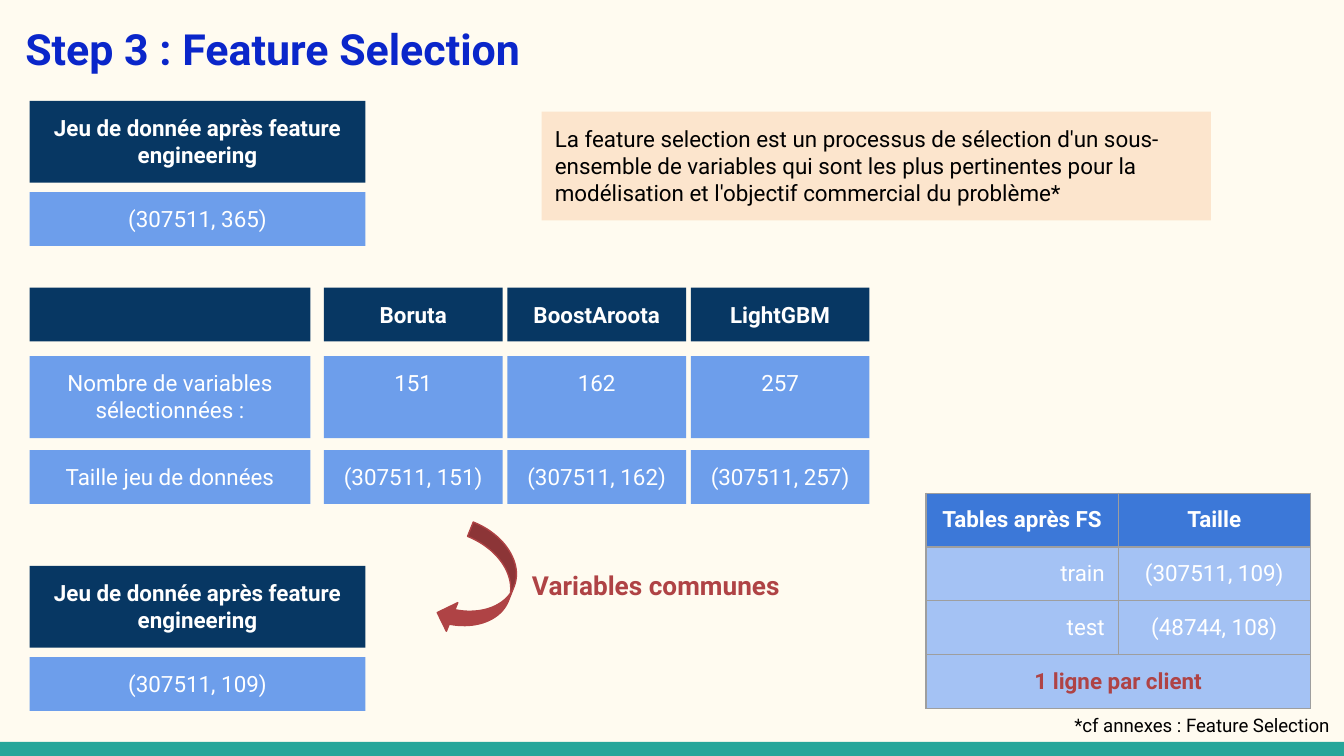
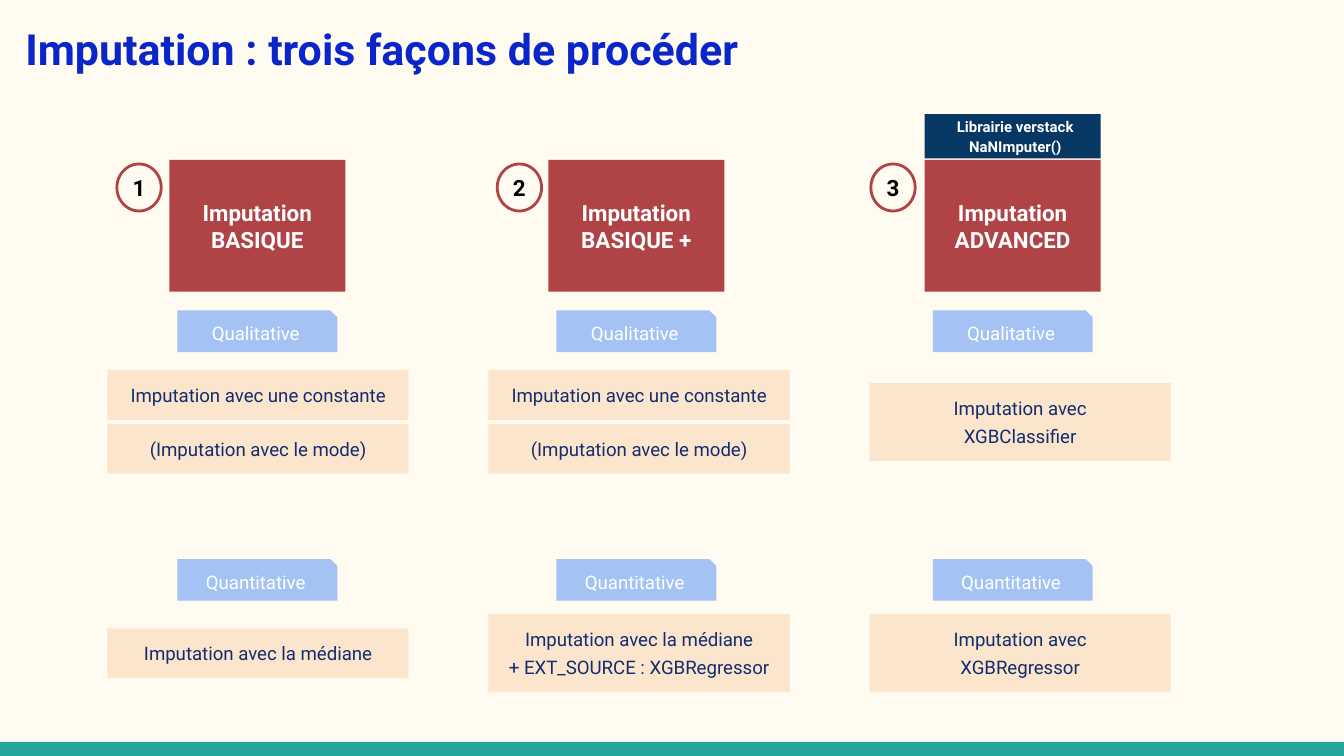
from dataclasses import dataclass

from lxml import etree
from pptx import Presentation
from pptx.dml.color import RGBColor
from pptx.enum.shapes import MSO_SHAPE
from pptx.enum.text import MSO_ANCHOR, PP_ALIGN
from pptx.oxml.ns import qn
from pptx.util import Inches, Pt

RECTANGLE = MSO_SHAPE.RECTANGLE
SNIPPED = MSO_SHAPE.SNIP_1_RECTANGLE
ELLIPSE = MSO_SHAPE.OVAL
CURVED_ARROW = MSO_SHAPE.CURVED_LEFT_ARROW
TOP, MIDDLE = MSO_ANCHOR.TOP, MSO_ANCHOR.MIDDLE
LEFT, CENTER, RIGHT = PP_ALIGN.LEFT, PP_ALIGN.CENTER, PP_ALIGN.RIGHT


@dataclass(frozen=True)
class Theme:
    """Colours, font and type sizes of the deck."""

    background: str = "FFFBF0"
    band: str = "26A69A"
    title: str = "0A26CA"
    navy: str = "073763"
    blue: str = "6D9EEB"
    table_header: str = "3C78D8"
    pale_blue: str = "A4C2F4"
    peach: str = "FCE5CD"
    red: str = "AF4345"
    ink: str = "132D6E"
    border: str = "9E9E9E"
    black: str = "000000"
    white: str = "FFFFFF"
    font: str = "Roboto"
    title_size: float = 23
    callout_size: float = 14
    body_size: float = 12
    small_size: float = 10
    tiny_size: float = 8


THEME = Theme()


def write_text(frame, text, *, size=THEME.body_size, color=THEME.white, bold=False,
               align=CENTER, space_before=0, line_spacing=None):
    """Write each line of the text as one formatted paragraph."""
    for index, line in enumerate(text.split("\n")):
        paragraph = frame.add_paragraph() if index else frame.paragraphs[0]
        paragraph.alignment = align
        if index and space_before:
            paragraph.space_before = Pt(space_before)
        if line_spacing:
            paragraph.line_spacing = line_spacing
        run = paragraph.add_run()
        run.text = line
        run.font.name = THEME.font
        run.font.size = Pt(size)
        run.font.bold = bold
        run.font.color.rgb = RGBColor.from_string(color)


def set_margins(target, margins):
    """Set the left, top, right and bottom insets of a frame or cell."""
    (target.margin_left, target.margin_top,
     target.margin_right, target.margin_bottom) = map(Inches, margins)


def set_fill(target, color):
    """Give a shape, cell or background a solid fill."""
    target.fill.solid()
    target.fill.fore_color.rgb = RGBColor.from_string(color)


def set_borders(cell, color, width):
    """Draw the four borders of a table cell."""
    properties = cell._tc.get_or_add_tcPr()
    for side in ("a:lnL", "a:lnR", "a:lnT", "a:lnB"):
        line = etree.SubElement(properties, qn(side), w=str(Pt(width)))
        solid = etree.SubElement(line, qn("a:solidFill"))
        etree.SubElement(solid, qn("a:srgbClr"), val=color)


class Deck:
    """Holds the presentation, its style and the current slide."""

    margins = (0.1,) * 4

    def __init__(self, theme):
        """Start an empty presentation with the shared background."""
        self.theme = theme
        self.presentation = Presentation()
        self.presentation.slide_width = Inches(10)
        self.presentation.slide_height = Inches(5.625)
        set_fill(self.presentation.slide_master.background, theme.background)
        self.slide = None

    def add_slide(self, title):
        """Add a slide with the bottom band and a title."""
        layout = self.presentation.slide_layouts[6]
        self.slide = self.presentation.slides.add_slide(layout)
        self.add_box((0, 5.52, 10, 0.11), self.theme.band)
        self.add_text((0.09, 0.07, 9.25, 0.63), title, size=self.theme.title_size,
                      color=self.theme.title, bold=True)

    def add_box(self, at, fill, text="", *, kind=RECTANGLE, line=None, line_width=0.75,
                anchor=TOP, margins=margins, rotation=0, **text_format):
        """Add a filled preset shape, with text if given."""
        shape = self.slide.shapes.add_shape(kind, *map(Inches, at))
        shape.shadow.inherit = False
        shape.rotation = rotation
        set_fill(shape, fill)
        if line:
            shape.line.color.rgb = RGBColor.from_string(line)
            shape.line.width = Pt(line_width)
        else:
            shape.line.fill.background()
        if text:
            self.fill_frame(shape.text_frame, text, anchor, margins, **text_format)

    def add_text(self, at, text, *, align=LEFT, **text_format):
        """Add a plain text box."""
        shape = self.slide.shapes.add_textbox(*map(Inches, at))
        self.fill_frame(shape.text_frame, text, TOP, self.margins, align=align, **text_format)

    def fill_frame(self, frame, text, anchor, margins, **text_format):
        """Prepare a text frame and write into it."""
        frame.word_wrap = True
        frame.vertical_anchor = anchor
        set_margins(frame, margins)
        write_text(frame, text, **text_format)

    def add_table(self, at, rows, footer):
        """Add a table with a header row and a merged footer row."""
        last = len(rows)
        columns = len(rows[0])
        frame = self.slide.shapes.add_table(last + 1, columns, *map(Inches, at))
        table = frame.table
        for row in range(last + 1):
            for column in range(columns):
                cell = table.cell(row, column)
                set_borders(cell, self.theme.border, 0.75)
                set_fill(cell, self.theme.pale_blue if row else self.theme.table_header)
                set_margins(cell, self.margins)
                cell.vertical_anchor = MIDDLE
                if row < last:
                    align = RIGHT if row and not column else CENTER
                    write_text(cell.text_frame, rows[row][column], bold=not row, align=align)
        table.cell(last, 0).merge(table.cell(last, columns - 1))
        write_text(table.cell(last, 0).text_frame, footer, color=self.theme.red, bold=True)

    def add_dataset(self, top, size):
        """Add a dataset heading with its size below."""
        self.add_box((0.22, top, 2.5, 0.61), self.theme.navy,
                     "Jeu de donnée après feature\nengineering", bold=True)
        self.add_box((0.22, top + 0.68, 2.5, 0.4), self.theme.blue, size)

    def add_method_stack(self, left, middle, texts):
        """Stack method boxes, centred vertically on a middle line."""
        gap = 0.03
        heights = [0.16 + 0.21 * len(text.split("\n")) for text in texts]
        top = middle - (sum(heights) + gap * (len(texts) - 1)) / 2
        for text, height in zip(texts, heights):
            self.add_box((left, top, 2.24, height), self.theme.peach, text,
                         size=self.theme.small_size, color=self.theme.ink, space_before=3)
            top += height + gap


def build_feature_selection(deck):
    """Build the feature selection slide."""
    theme = deck.theme
    deck.add_slide("Step 3 : Feature Selection")
    deck.add_dataset(0.75, "(307511, 365)")
    deck.add_dataset(4.21, "(307511, 109)")

    columns = [(0.22, 2.09)] + [(2.41 + 1.365 * index, 1.33) for index in range(3)]
    rows = [
        (2.14, 0.4, ("", "Boruta", "BoostAroota", "LightGBM")),
        (2.65, 0.61, ("Nombre de variables\nsélectionnées :", "151", "162", "257")),
        (3.35, 0.4, ("Taille jeu de données", "(307511, 151)", "(307511, 162)",
                     "(307511, 257)")),
    ]
    for index, (top, height, texts) in enumerate(rows):
        for (left, width), text in zip(columns, texts):
            deck.add_box((left, top, width, height), theme.blue if index else theme.navy,
                         text, bold=not index)

    deck.add_text((3.86, 4.14, 2.18, 0.44), "Variables communes",
                  size=theme.callout_size, color=theme.red, bold=True)
    deck.add_box((3.35, 3.94, 0.46, 0.84), theme.red, kind=CURVED_ARROW,
                 line=theme.red, rotation=21.7)
    deck.add_table((6.89, 3.67, 2.86, 1.6),
                   [("Tables après FS", "Taille"), ("train", "(307511, 109)"),
                    ("test", "(48744, 108)")],
                   "1 ligne par client")
    deck.add_box((4.03, 0.83, 4.98, 0.81), theme.peach,
                 "La feature selection est un processus de sélection d'un sous-ensemble "
                 "de variables qui sont les plus pertinentes pour la modélisation et "
                 "l'objectif commercial du problème*", color=theme.black, align=LEFT)
    deck.add_text((4.66, 5.23, 5.33, 0.37), "*cf annexes : Feature Selection",
                  size=theme.small_size, color=theme.black, align=RIGHT)


def build_imputation(deck):
    """Build the slide comparing three imputation approaches."""
    theme = deck.theme
    deck.add_slide("Imputation : trois façons de procéder")
    basic = ["Imputation avec une constante", "(Imputation avec le mode)"]
    approaches = [
        (1.26, 0.87, "BASIQUE", basic, ["Imputation avec la médiane"]),
        (4.08, 3.7, "BASIQUE +", basic,
         ["Imputation avec la médiane\n+ EXT_SOURCE : XGBRegressor"]),
        (6.88, 6.48, "ADVANCED", ["Imputation avec\nXGBClassifier"],
         ["Imputation avec\nXGBRegressor"]),
    ]
    for index, (left, badge_left, name, qualitative, quantitative) in enumerate(approaches):
        deck.add_box((left, 1.19, 1.31, 0.98), theme.red, f"Imputation\n{name}",
                     anchor=MIDDLE, bold=True)
        deck.add_box((badge_left, 1.22, 0.33, 0.35), theme.background, str(index + 1),
                     kind=ELLIPSE, line=theme.red, line_width=1.5, anchor=MIDDLE,
                     margins=(0,) * 4, color=theme.black, bold=True)
        groups = [("Qualitative", 2.31, 3.14, qualitative),
                  ("Quantitative", 4.16, 4.86, quantitative)]
        for label, top, middle, methods in groups:
            deck.add_box((left + 0.06, top, 1.19, 0.31), theme.pale_blue, label,
                         kind=SNIPPED, anchor=MIDDLE, size=theme.small_size)
            deck.add_method_stack(0.8 + 2.835 * index, middle, methods)

    deck.add_box((6.88, 0.85, 1.31, 0.33), theme.navy, "Librairie verstack\nNaNImputer()",
                 margins=(0.06, 0.02, 0.02, 0.02), size=theme.tiny_size, bold=True,
                 space_before=1, line_spacing=1.02)


def main():
    """Build and save the presentation."""
    deck = Deck(THEME)
    build_feature_selection(deck)
    build_imputation(deck)
    deck.presentation.save("out.pptx")


if __name__ == "__main__":
    main()
